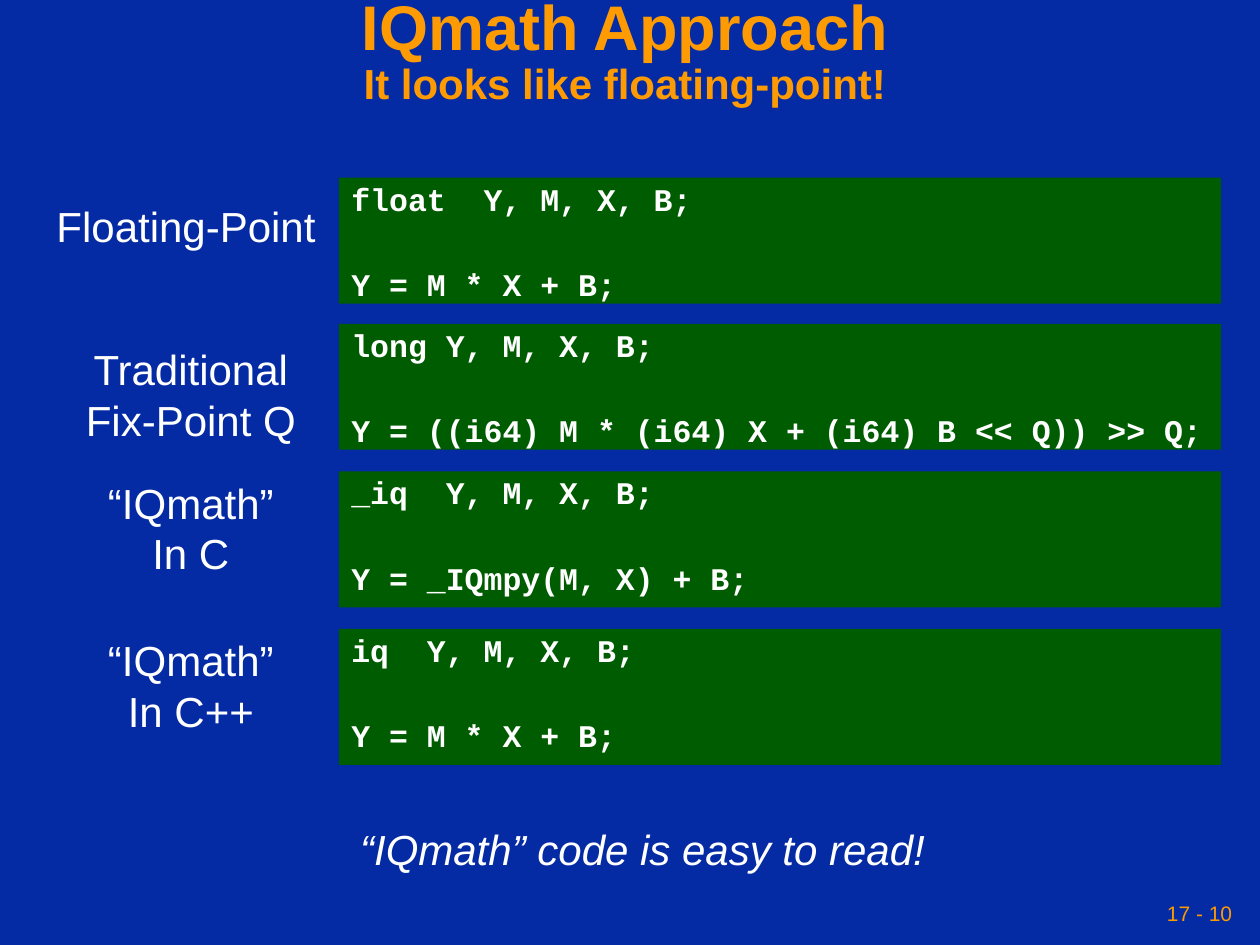
from pptx import Presentation
from pptx.dml.color import RGBColor as Rgb
from pptx.enum.shapes import MSO_SHAPE as Shape
from pptx.enum.text import MSO_ANCHOR as Anchor, MSO_AUTO_SIZE as Auto, PP_ALIGN as Align
from pptx.util import Inches, Pt

HUES = {"back": "042AA4", "gold": "FE9B03", "code": "005C00", "text": "FFFFFF"}
ROWS = [
    (1.41, 1, 1.54, Align.LEFT, ["Floating-Point"],
     ["float  Y, M, X, B;", "Y = M * X + B;"]),
    (2.57, 1, 2.68, Align.CENTER, ["Traditional", "Fix-Point Q"],
     ["long Y, M, X, B;", "Y = ((i64) M * (i64) X + (i64) B << Q)) >> Q;"]),
    (3.74, 1.08, 3.74, Align.CENTER, ["“IQmath”", "In C"],
     ["_iq  Y, M, X, B;", "Y = _IQmpy(M, X) + B;"]),
    (4.99, 1.08, 4.99, Align.CENTER, ["“IQmath”", "In C++"],
     ["iq  Y, M, X, B;", "Y = M * X + B;"]),
]


class Deck:
    """Hold the style and the current slide."""

    def __init__(self):
        self.prs = Presentation()
        self.prs.slide_width, self.prs.slide_height = Inches(10), Inches(7.5)
        self.slide = self.prs.slides.add_slide(self.prs.slide_layouts[5])
        self.paint(self.slide.background.fill, "back")

    def paint(self, fill, hue):
        fill.solid()
        fill.fore_color.rgb = Rgb.from_string(HUES[hue])

    def style(self, para, size, hue="text", face="Arial", bold=False, slant=False):
        font = para.font
        font.name, font.bold, font.italic = face, bold, slant
        font.size = Pt(size)
        font.color.rgb = Rgb.from_string(HUES[hue])

    def inset(self, frame, side):
        frame.margin_left = frame.margin_right = Inches(side)
        frame.margin_top = frame.margin_bottom = Inches(0.05)

    def put(self, frame, lines, align, size, **look):
        for i, line in enumerate(lines):
            para = frame.add_paragraph() if i else frame.paragraphs[0]
            para.text, para.alignment = line, align
            self.style(para, size, **look)

    def title(self, head, sub):
        shape = self.slide.shapes.title
        shape.left, shape.top = Inches(0), Inches(0)
        shape.width, shape.height = Inches(9.92), Inches(0.83)
        frame = shape.text_frame
        frame.auto_size, frame.vertical_anchor = Auto.NONE, Anchor.MIDDLE
        self.inset(frame, 0.05)
        para = frame.paragraphs[0]
        para.alignment, para.line_spacing = Align.CENTER, 0.9
        self.style(para, 36, "gold", bold=True)
        para.add_run().text = head
        para.add_line_break()
        run = para.add_run()
        run.text, run.font.size = sub, Pt(24)

    def label(self, box, lines, align, size=24, wrap=True, side=0.1, **look):
        frame = self.slide.shapes.add_textbox(*map(Inches, box)).text_frame
        frame.word_wrap = wrap
        self.inset(frame, side)
        self.put(frame, lines, align, size, **look)
        return frame

    def code(self, box, lines):
        shape = self.slide.shapes.add_shape(Shape.RECTANGLE, *map(Inches, box))
        shape.shadow.inherit = False
        self.paint(shape.fill, "code")
        shape.line.fill.background()
        frame = shape.text_frame
        frame.word_wrap, frame.vertical_anchor = True, Anchor.TOP
        self.inset(frame, 0.1)
        self.put(frame, lines, Align.LEFT, 18, face="Courier New", bold=True)
        for para in frame.paragraphs:
            para.line_spacing = 0.9
        frame.paragraphs[-1].space_before = Pt(29.5)


def main():
    deck = Deck()
    deck.title("IQmath Approach", "It looks like floating-point!")
    for top, high, y, align, names, lines in ROWS:
        deck.code((2.69, top, 7, high), lines)
        deck.label((0.35, y, 2.33, 0.1 + 0.4 * len(names)), names, align)
    deck.label((2.76, 6.49, 4.68, 0.5), ["“IQmath” code is easy to read!"],
               Align.CENTER, wrap=False, slant=True)
    page = deck.label((6.83, 7.08, 3, 0.33), ["17 - 10"], Align.RIGHT, 12,
                      side=0.05, hue="gold")
    page.vertical_anchor = Anchor.MIDDLE
    deck.prs.save("out.pptx")


if __name__ == "__main__":
    main()
